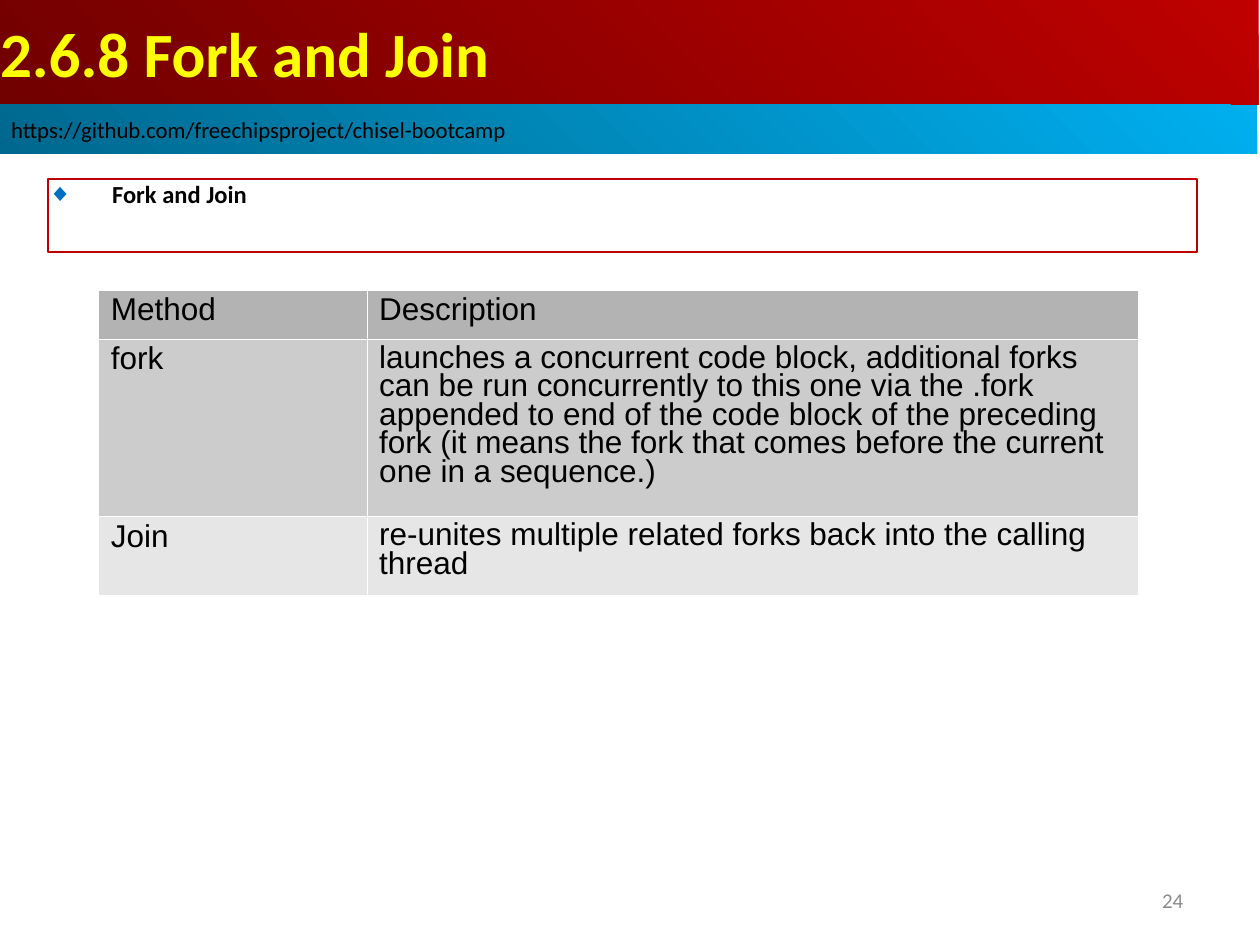
from lxml.etree import SubElement
from pptx import Presentation
from pptx.dml.color import RGBColor
from pptx.enum.shapes import MSO_SHAPE
from pptx.enum.text import MSO_ANCHOR, MSO_AUTO_SIZE, PP_ALIGN
from pptx.oxml import parse_xml
from pptx.oxml.ns import nsdecls, qn
from pptx.util import Inches, Pt

theme = {
    "face": "Calibri", "grid": "Arial",
    "title": 36, "list": 14, "link": 13, "page": 12, "cell": 18,
    "yellow": "FFFF00", "black": "000000", "gray": "8B8B8B",
    "red": ("BF0000", "710000"), "blue": ("00AFEF", "00688E"),
    "frame": "C00000", "mark": "0070C0", "rule": "FFFFFF",
    "rows": ("B3B3B3", "CCCCCC", "E6E6E6"),
}

deck = Presentation()
deck.slide_width, deck.slide_height = Inches(10), Inches(7.5)
col, row = deck.slide_width / 100, deck.slide_height / 75
slide = deck.slides.add_slide(deck.slide_layouts[1])
shapes = slide.shapes


def place(shape, left, top, width, height):
    shape.left, shape.top = round(left * col), round(top * row)
    shape.width, shape.height = round(width * col), round(height * row)


def style(frame, size, color, face="face", bold=False):
    for para in frame.paragraphs:
        for run in para.runs:
            run.font.name, run.font.size = theme[face], Pt(theme[size])
            run.font.bold = bold
            run.font.color.rgb = RGBColor.from_string(theme[color])


title, body = shapes.title, shapes.placeholders[1]
place(title, 0, 0, 99.9, 8.3)
place(body, 3.8, 14.2, 91.2, 5.8)
title.text_frame.text = "2.6.8 Fork and Join"
body.text_frame.text = "Fork and Join"
for shape in (title, body):
    frame = shape.text_frame
    frame.margin_left = frame.margin_right = 0
    frame.margin_top = frame.margin_bottom = 0
    frame.auto_size, frame.word_wrap = MSO_AUTO_SIZE.NONE, True
title.text_frame.vertical_anchor = MSO_ANCHOR.MIDDLE
title.text_frame.paragraphs[0].alignment = PP_ALIGN.LEFT
style(title.text_frame, "title", "yellow", bold=True)

body.line.color.rgb = RGBColor.from_string(theme["frame"])
body.line.width = Pt(0.75)
item = body.text_frame.paragraphs[0]
item.space_before = Pt(0)
props = item._p.get_or_add_pPr()
props.set("marL", str(Inches(0.51)))
props.set("indent", str(-Inches(0.51)))
tint = SubElement(props, qn("a:buClr"))
SubElement(tint, qn("a:srgbClr")).set("val", theme["mark"])
SubElement(props, qn("a:buChar")).set("char", "◆")
style(body.text_frame, "list", "black", bold=True)

band = shapes.add_shape(MSO_SHAPE.RECTANGLE, 0, 0, 0, 0)
place(band, -0.1, 8.3, 99.9, 3.9)
band.shadow.inherit = False
band.line.fill.background()
band.text_frame.text = "https://github.com/freechipsproject/chisel-bootcamp"
band.text_frame.word_wrap = True
band.text_frame.vertical_anchor = MSO_ANCHOR.MIDDLE
band.text_frame.paragraphs[0].alignment = PP_ALIGN.LEFT
style(band.text_frame, "link", "black")

for shape, shades in ((title, "red"), (band, "blue")):
    shape.fill.gradient()
    shape.fill.gradient_angle = 225
    for stop, shade, spot in zip(shape.fill.gradient_stops, theme[shades], (0, 1)):
        stop.color.rgb = RGBColor.from_string(shade)
        stop.position = spot

page = shapes.add_textbox(0, 0, 0, 0)
place(page, 71.7, 69.5, 23.2, 3.9)
page.text_frame.text = "24"
page.text_frame.word_wrap = True
page.text_frame.vertical_anchor = MSO_ANCHOR.MIDDLE
page.text_frame.paragraphs[0].alignment = PP_ALIGN.RIGHT
style(page.text_frame, "page", "gray")

cells = (
    ("Method", "Description"),
    ("fork", "launches a concurrent code block, additional forks can be run "
     "concurrently to this one via the .fork appended to end of the code block of "
     "the preceding fork (it means the fork that comes before the current one in "
     "a sequence.)"),
    ("Join", "re-unites multiple related forks back into the calling thread"),
)
holder = shapes.add_table(3, 2, 0, 0, 0, 0)
place(holder, 7.8, 23, 82.5, 24.2)
table = holder.table
for lane, width in zip(table.columns, (21.3, 61.2)):
    lane.width = round(width * col)
for line, height in zip(table.rows, (3.9, 14.1, 6.2)):
    line.height = round(height * row)
for r, texts in enumerate(cells):
    for c, text in enumerate(texts):
        cell = table.cell(r, c)
        cell.text_frame.text = text
        cell.text_frame.paragraphs[0].line_spacing = 0.81 if r and c else 0.87
        style(cell.text_frame, "cell", "black", "grid")
        edges = cell._tc.get_or_add_tcPr()
        for side in ("lnL", "lnR", "lnT", "lnB"):
            edges.append(parse_xml(
                f'<a:{side} {nsdecls("a")} w="{Pt(0.06)}"><a:solidFill>'
                f'<a:srgbClr val="{theme["rule"]}"/></a:solidFill></a:{side}>'))
        cell.fill.solid()
        cell.fill.fore_color.rgb = RGBColor.from_string(theme["rows"][r])

deck.save("out.pptx")
